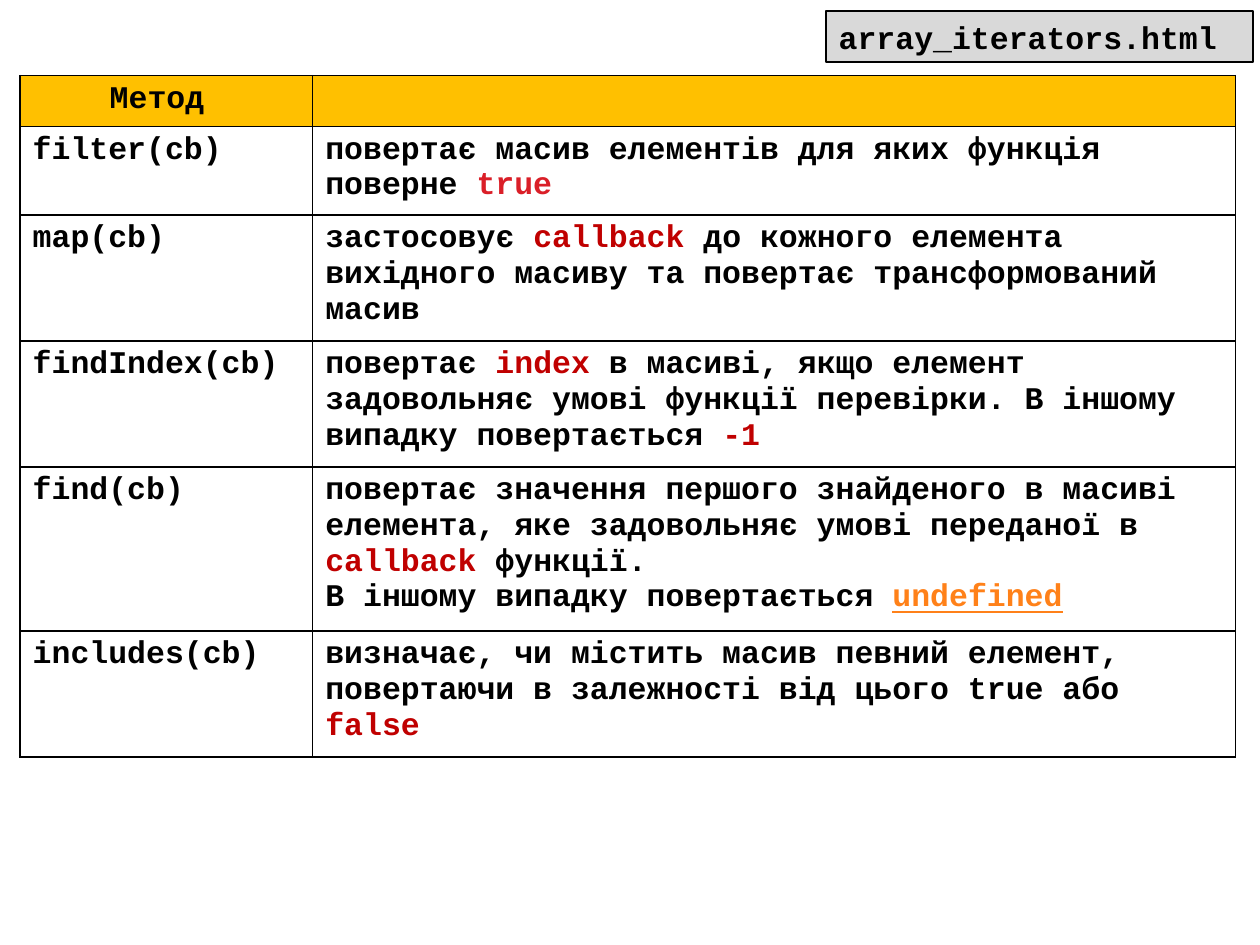
from lxml.etree import SubElement
from pptx import Presentation
from pptx.dml.color import RGBColor
from pptx.enum.shapes import MSO_SHAPE
from pptx.enum.text import MSO_ANCHOR, MSO_AUTO_SIZE, PP_ALIGN
from pptx.oxml.ns import qn
from pptx.util import Pt

BLACK = RGBColor(0x00, 0x00, 0x00)
GOLD = RGBColor(0xFF, 0xC0, 0x00)
GREY = RGBColor(0xD9, 0xD9, 0xD9)
CRIMSON = RGBColor(0xDA, 0x1F, 0x28)
RED = RGBColor(0xC0, 0x00, 0x00)
ORANGE = RGBColor(0xFF, 0x81, 0x19)


def write(paragraph, pieces):
    paragraph.font.size = Pt(18)
    for text, color in pieces:
        run = paragraph.add_run()
        run.text = text
        run.font.name = "Courier New"
        run.font.size = Pt(18)
        run.font.bold = True
        run.font.color.rgb = color
        if color == ORANGE:
            run.font.underline = True


def add_borders(cell):
    properties = cell._tc.get_or_add_tcPr()
    for side in ("a:lnL", "a:lnR", "a:lnT", "a:lnB"):
        border = SubElement(properties, qn(side), w=str(Pt(1)))
        fill = SubElement(border, qn("a:solidFill"))
        SubElement(fill, qn("a:srgbClr"), val=str(BLACK))


methods = [
    ("Метод ", [[]], 29.16),
    ("filter(cb)", [[
        ("повертає масив елементів для яких функція поверне ", BLACK),
        ("true", CRIMSON)]], 50.6),
    ("map(cb)", [[
        ("застосовує ", BLACK), ("callback", RED),
        (" до кожного елемента вихідного масиву та повертає "
         "трансформований масив", BLACK)]], 72),
    ("findIndex(cb)", [[
        ("повертає\u00a0", BLACK), ("index", RED),
        ("\u00a0в масиві, якщо елемент задовольняє умові функції "
         "перевірки. В іншому випадку повертається ", BLACK),
        ("-1", RED)]], 72),
    ("find(cb)", [
        [("повертає\u00a0значення\u00a0першого знайденого\u00a0в масиві "
          "елемента, яке\u00a0задовольняє умові переданої в ", BLACK),
         ("callback ", RED), ("функції.", BLACK)],
        [("В іншому випадку повертається ", BLACK),
         ("undefined", ORANGE)]], 93.6),
    ("includes(сb)", [[
        ("визначає, чи містить масив певний елемент, повертаючи "
         "в залежності від цього true або ", BLACK),
        ("false", RED)]], 72),
]

presentation = Presentation()
presentation.slide_width = Pt(720)
presentation.slide_height = Pt(540)
slide = presentation.slides.add_slide(presentation.slide_layouts[6])

total_height = sum(height for name, description, height in methods)
table = slide.shapes.add_table(
    len(methods), 2, Pt(11.5), Pt(43.2), Pt(694.4), Pt(total_height)).table
table.columns[0].width = Pt(167.2)
table.columns[1].width = Pt(527.2)

for row_index, (name, description, height) in enumerate(methods):
    table.rows[row_index].height = Pt(height)
    for column_index, paragraphs in enumerate(([[(name, BLACK)]], description)):
        cell = table.cell(row_index, column_index)
        add_borders(cell)
        if row_index == 0:
            cell.fill.solid()
            cell.fill.fore_color.rgb = GOLD
        else:
            cell.fill.background()
        frame = cell.text_frame
        for index, pieces in enumerate(paragraphs):
            paragraph = frame.add_paragraph() if index else frame.paragraphs[0]
            write(paragraph, pieces)
            if row_index == 0:
                paragraph.alignment = PP_ALIGN.CENTER

file_label = slide.shapes.add_shape(
    MSO_SHAPE.RECTANGLE, Pt(472.2), Pt(6.5), Pt(244), Pt(29.08))
file_label.shadow.inherit = False
file_label.fill.solid()
file_label.fill.fore_color.rgb = GREY
file_label.line.color.rgb = BLACK
file_label.line.width = Pt(1)
label_frame = file_label.text_frame
label_frame.word_wrap = True
label_frame.auto_size = MSO_AUTO_SIZE.SHAPE_TO_FIT_TEXT
label_frame.vertical_anchor = MSO_ANCHOR.TOP
label_frame.paragraphs[0].alignment = PP_ALIGN.LEFT
write(label_frame.paragraphs[0], [("array_iterators.html", BLACK)])

presentation.save("out.pptx")
